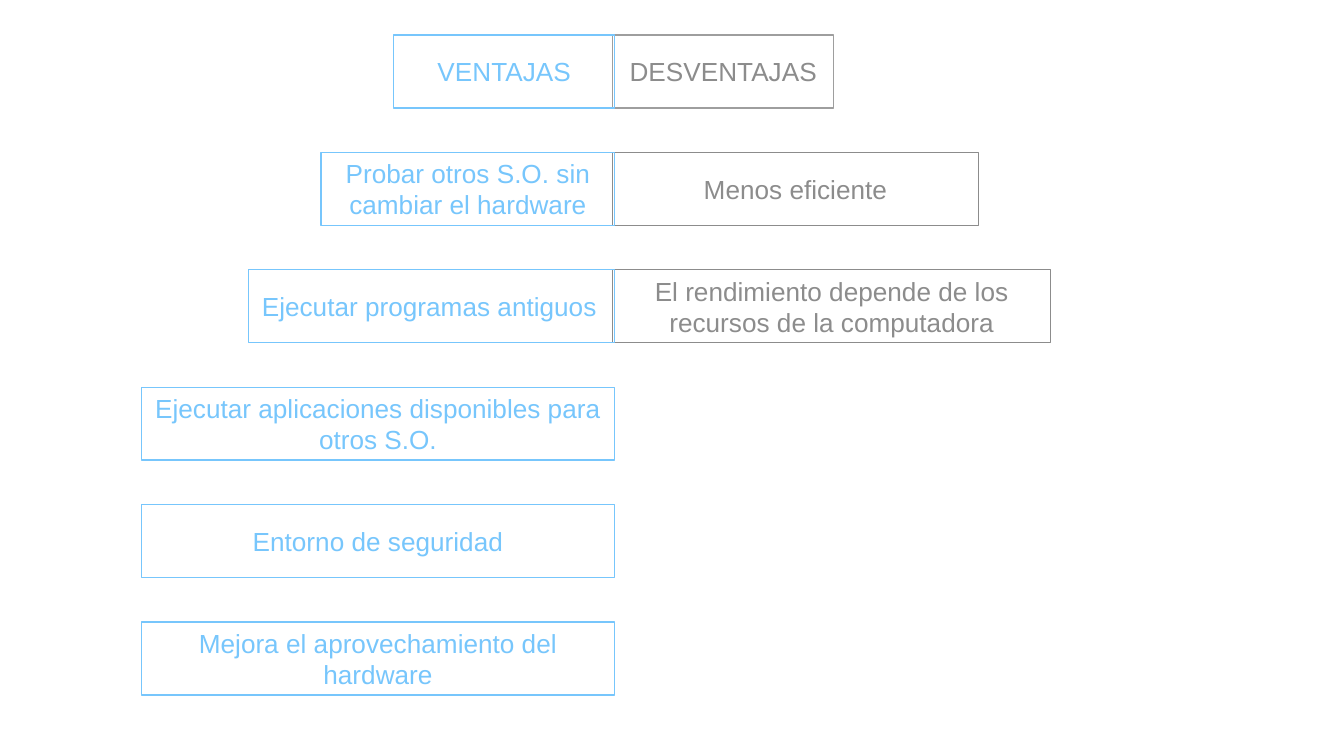
from pptx import Presentation
from pptx.dml.color import RGBColor
from pptx.enum import shapes, text
from pptx.util import Cm, Pt

BLUE = RGBColor(0x77, 0xC6, 0xFC)
GRAY = RGBColor(0x8C, 0x8C, 0x8C)
PALE = RGBColor(0x9E, 0x9E, 0x9E)
MID, LEFT = text.PP_ALIGN.CENTER, text.PP_ALIGN.LEFT

TOP, STEP, HIGH = Cm(0.66), Cm(2.22), Cm(1.38)

# Each row: wording, width in cm, alignment, line colour
PROS = [
    ("VENTAJAS", 4.18, MID, BLUE),
    ("Probar otros S.O. sin cambiar el hardware", 5.55, MID, BLUE),
    ("Ejecutar programas antiguos", 6.92, LEFT, BLUE),
    ("Ejecutar aplicaciones disponibles para otros S.O.", 8.95, MID, BLUE),
    ("Entorno de seguridad", 8.95, MID, BLUE),
    ("Mejora el aprovechamiento del hardware", 8.95, MID, BLUE),
]
CONS = [
    ("DESVENTAJAS", 4.18, MID, PALE),
    ("Menos eficiente", 6.91, MID, GRAY),
    ("El rendimiento depende de los recursos de la computadora",
     8.28, MID, GRAY),
]


def add_cell(slide, box, words, align, line, ink):
    """Draw one outlined box with its text."""
    cell = slide.shapes.add_shape(shapes.MSO_SHAPE.RECTANGLE, *box)
    cell.shadow.inherit = False
    cell.fill.background()
    cell.line.color.rgb = line
    cell.line.width = Pt(0.75)

    frame = cell.text_frame
    frame.word_wrap = True
    frame.vertical_anchor = text.MSO_ANCHOR.MIDDLE
    frame.margin_left = frame.margin_right = Cm(0.25)
    frame.margin_top = frame.margin_bottom = Cm(0.25)
    para = frame.paragraphs[0]
    para.text = words
    para.alignment = align
    para.font.name = "Arial"
    para.font.size = Pt(14)
    para.font.color.rgb = ink


def add_side(slide, edge, top, rows, ink, grow):
    """Stack rows that grow from edge: -1 to the left, 1 to the right."""
    for i, (words, size, align, line) in enumerate(rows):
        wide = Cm(size)
        left = edge - wide if grow < 0 else edge
        box = (left, top + i * STEP, wide, HIGH)
        add_cell(slide, box, words, align, line, ink)


def main():
    deck = Presentation()
    deck.slide_width, deck.slide_height = Cm(25.4), Cm(14.29)
    slide = deck.slides.add_slide(deck.slide_layouts[6])

    # Drawbacks to the right, then benefits to the left on top
    add_side(slide, Cm(11.58), TOP, CONS, GRAY, 1)
    add_side(slide, Cm(11.62), TOP, PROS, BLUE, -1)
    deck.save("out.pptx")


if __name__ == "__main__":
    main()
